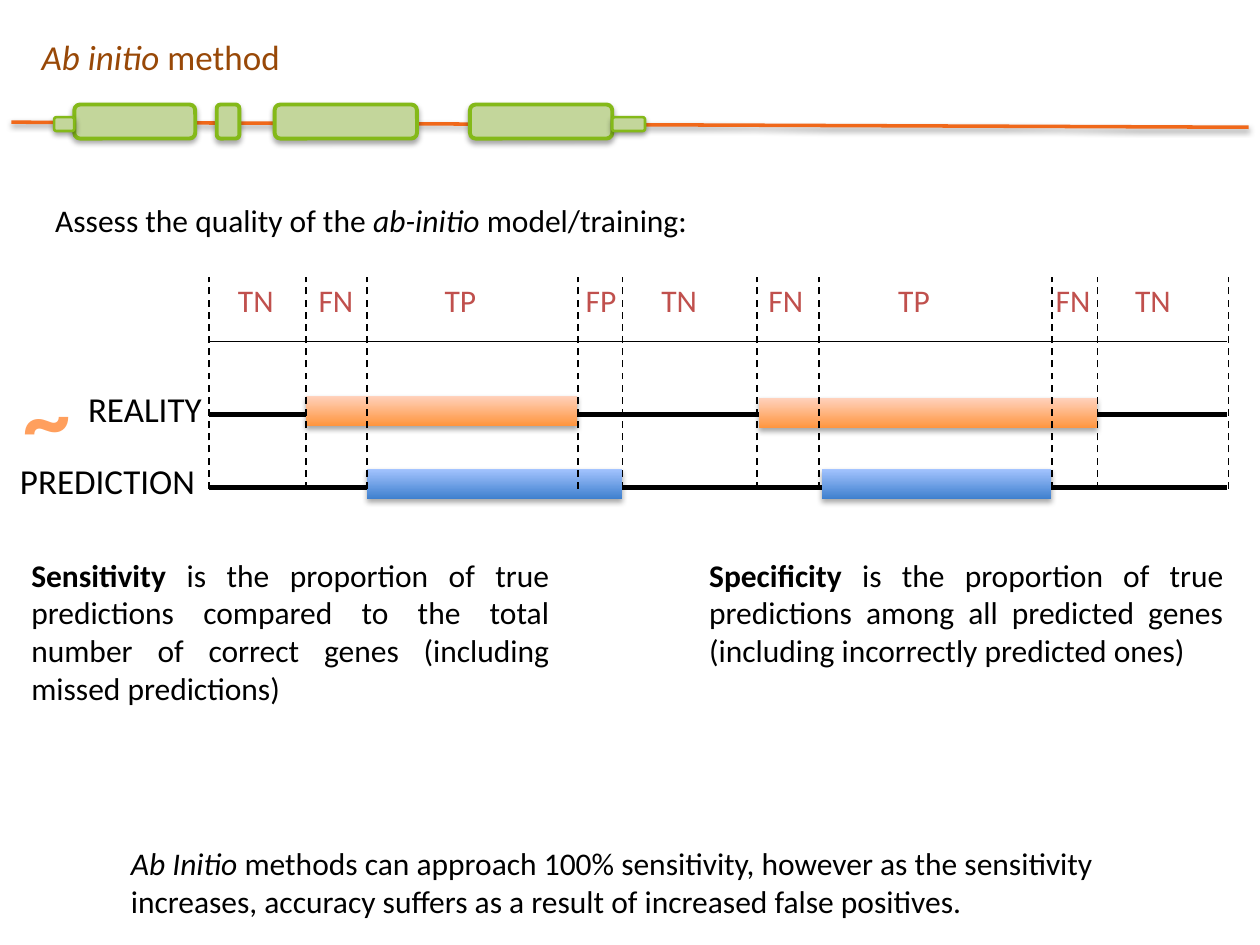
from lxml import etree
from pptx import Presentation
from pptx.dml.color import RGBColor
from pptx.enum.dml import MSO_LINE
from pptx.enum.shapes import MSO_CONNECTOR, MSO_SHAPE
from pptx.enum.text import MSO_ANCHOR, MSO_AUTO_SIZE, PP_ALIGN
from pptx.oxml.ns import qn
from pptx.util import Inches, Pt

RECT, ROUND = MSO_SHAPE.RECTANGLE, MSO_SHAPE.ROUNDED_RECTANGLE
STRAIGHT, DASH = MSO_CONNECTOR.STRAIGHT, MSO_LINE.DASH
LEFT, CENTER, JUSTIFY = PP_ALIGN.LEFT, PP_ALIGN.CENTER, PP_ALIGN.JUSTIFY

COLORS = {
    "black": "000000", "title": "984807", "label": "C0504D", "tilde": "FF9F5D",
    "genome": "F0681A", "exon": "C3D69B", "edge": "84B919",
    "real_low": "FF953E", "real_top": "FFD2BD",
    "pred_low": "3F80CE", "pred_top": "A4C4FF",
}
RGB = {name: RGBColor.from_string(code) for name, code in COLORS.items()}

prs = Presentation()
prs.slide_width, prs.slide_height = Inches(10), Inches(7.5)
slide = prs.slides.add_slide(prs.slide_layouts[5])
shapes = slide.shapes


def set_effect(shape, alpha=None):
    """Leave the effect list empty, or give it a soft shadow below."""
    props = shape.element.spPr
    effects = etree.SubElement(props, qn("a:effectLst"))
    if alpha:
        shadow = etree.SubElement(effects, qn("a:outerShdw"), blurRad="40000",
                                  dist="22000", dir="5400000", rotWithShape="0")
        color = etree.SubElement(shadow, qn("a:srgbClr"), val=COLORS["black"])
        etree.SubElement(color, qn("a:alpha"), val=str(alpha * 1000))


def write(box, place, parts, size=18, color="black", align=LEFT, wrap=False):
    """Place a text box and fill it with (text, style) runs."""
    box.left, box.top, box.width, box.height = [Inches(n) for n in place]
    frame = box.text_frame
    frame.word_wrap = wrap
    frame.auto_size = MSO_AUTO_SIZE.SHAPE_TO_FIT_TEXT
    frame.vertical_anchor = MSO_ANCHOR.TOP
    para = frame.paragraphs[0]
    para.alignment = align
    for text, style in parts:
        run = para.add_run()
        run.text = text
        run.font.name, run.font.size = "Calibri", Pt(size)
        run.font.color.rgb = RGB[color]
        run.font.bold, run.font.italic = style == "bold", style == "italic"


# Title
write(shapes.title, (0.23, 0.23, 2.11, 0.44),
      [("Ab initio", "italic"), (" method", "")], 20, "title")

# Solid lines: genome, ruler, reality track, prediction track
# Dashed lines: limits between the labelled regions
limits = [1.66, 2.43, 2.91, 4.59, 4.94, 6.01, 6.5, 8.35, 8.71, 9.75]
genome = [(0.09, 0.97, 9.91, 1.01, "genome", 2, None)]
tracks = [(1.66, y, 9.74, y, "black", width, None)
          for y, width in ((2.71, 1), (3.29, 3), (3.87, 3))]
dashes = [(x, 3.88, x, 2.2, "black", 1, DASH) for x in limits]

# Bars: left, top, width and the ends of the gradient
bars = [
    (2.43, 3.14, 2.15, "real"), (6.02, 3.16, 2.69, "real"),
    (2.91, 3.72, 2.03, "pred"), (6.52, 3.72, 1.82, "pred"),
]

for x1, y1, x2, y2, color, width, dash in genome + tracks:
    line = shapes.add_connector(STRAIGHT, Inches(x1), Inches(y1), Inches(x2), Inches(y2))
    line.line.color.rgb, line.line.width = RGB[color], Pt(width)
    set_effect(line, 38 if color == "genome" else None)

# Gene model: tall coding exons, then short untranslated ends
exons = [(x, 0.83, w, 0.27, 2.25)
         for x, w in ((0.59, 0.96), (1.72, 0.18), (2.18, 1.13), (3.73, 1.13))]
ends = [(x, 0.93, w, 0.11, 1.5) for x, w in ((4.86, 0.26), (0.43, 0.16))]
for x, y, w, h, edge in exons + ends:
    exon = shapes.add_shape(ROUND, Inches(x), Inches(y), Inches(w), Inches(h))
    exon.fill.solid()
    exon.fill.fore_color.rgb = RGB["exon"]
    exon.line.color.rgb, exon.line.width = RGB["edge"], Pt(edge)
    set_effect(exon, 35)

for x, y, w, kind in bars:
    bar = shapes.add_shape(RECT, Inches(x), Inches(y), Inches(w), Inches(0.24))
    bar.fill.gradient()
    bar.fill.gradient_angle = 90
    for stop, end in zip(bar.fill.gradient_stops, ("_low", "_top")):
        stop.color.rgb = RGB[kind + end]
    bar.line.fill.background()
    set_effect(bar, 35)

for x1, y1, x2, y2, color, width, dash in dashes:
    line = shapes.add_connector(STRAIGHT, Inches(x1), Inches(y1), Inches(x2), Inches(y2))
    line.line.color.rgb, line.line.width = RGB[color], Pt(width)
    line.line.dash_style = dash
    set_effect(line)

# Region labels
labels = [(1.79, "TN"), (2.43, "FN"), (3.43, "TP"), (4.55, "FP"), (5.15, "TN"),
          (6, "FN"), (7.03, "TP"), (8.28, "FN"), (8.91, "TN")]
texts = [((x, 2.18, 0.62, 0.4), [(name, "")], 18, "label", LEFT, False)
         for x, name in labels]

# Track names and explanations
texts += [
    ((0.6, 3.03, 1.39, 0.43), [("REALITY", "")], 20, "black", LEFT, False),
    ((0.06, 3.6, 1.85, 0.43), [("PREDICTION", "")], 20, "black", LEFT, False),
    ((0.06, 2.79, 0.62, 1.01), [("~", "bold")], 54, "tilde", CENTER, True),
    ((0.34, 1.55, 5.27, 0.4),
     [("Assess the quality of the ", ""), ("ab-initio ", "italic"),
      ("model/training:", "")], 18, "black", LEFT, False),
    ((0.15, 4.36, 4.31, 1.31),
     [("Sensitivity ", "bold"),
      ("is the proportion of true predictions compared to the total number of "
       "correct genes (including missed predictions)", "")],
     18, "black", JUSTIFY, True),
    ((5.53, 4.36, 4.28, 1.01),
     [("Specificity", "bold"),
      (" is the proportion of true predictions among all predicted genes "
       "(including incorrectly predicted ones)", "")],
     18, "black", JUSTIFY, True),
    ((0.94, 6.65, 8.12, 0.71),
     [("Ab Initio ", "italic"),
      ("methods can approach 100% sensitivity, however as the sensitivity "
       "increases, accuracy suffers as a result of increased false positives.", "")],
     18, "black", LEFT, True),
]
for place, parts, size, color, align, wrap in texts:
    box = shapes.add_textbox(0, 0, 0, 0)
    write(box, place, parts, size, color, align, wrap)

prs.save("out.pptx")
